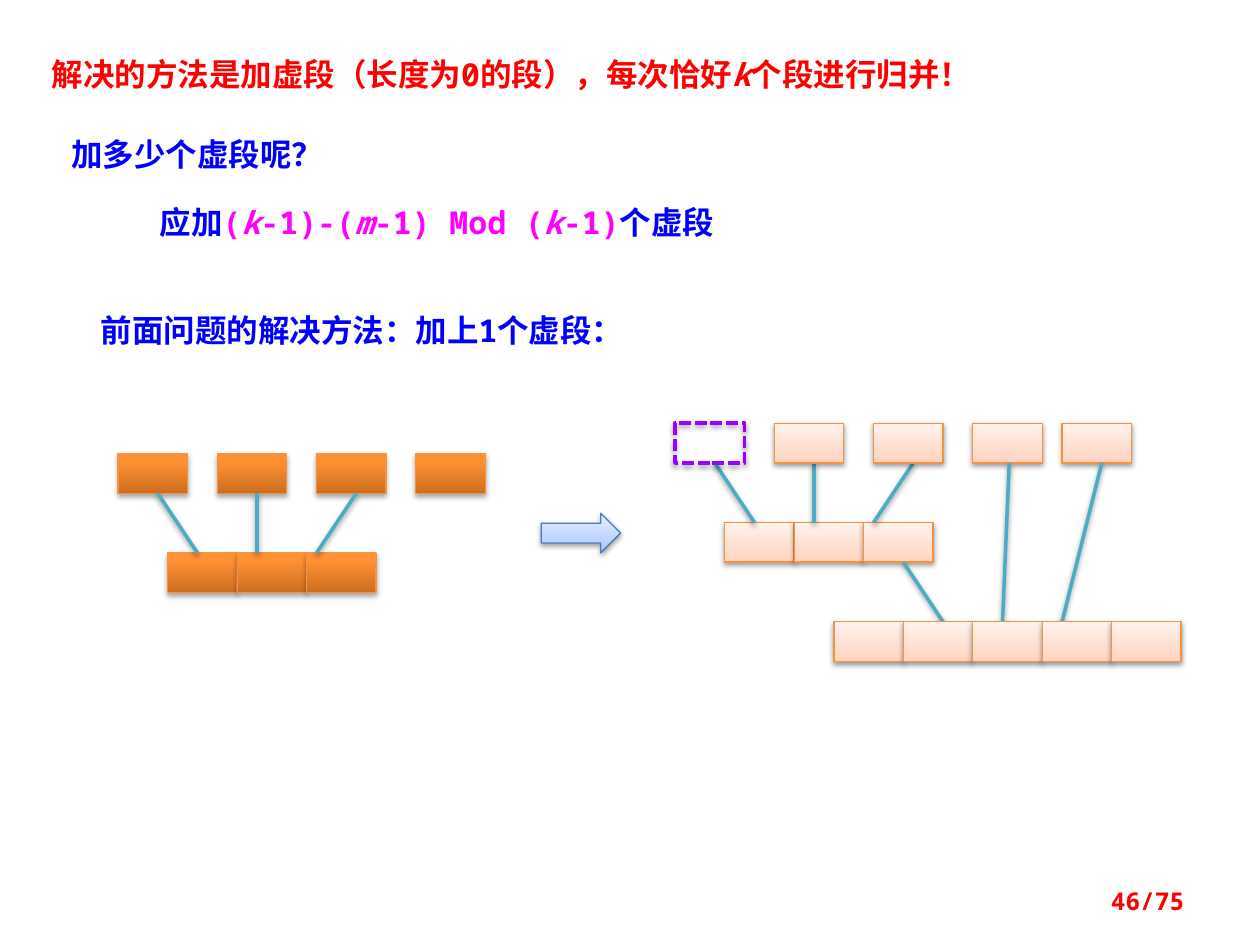
from dataclasses import dataclass

from lxml.etree import SubElement
from pptx import Presentation
from pptx.dml.color import RGBColor
from pptx.enum.dml import MSO_LINE
from pptx.enum.shapes import MSO_CONNECTOR, MSO_SHAPE
from pptx.enum.text import MSO_ANCHOR, MSO_AUTO_SIZE, PP_ALIGN
from pptx.oxml import parse_xml
from pptx.oxml.ns import nsdecls, qn
from pptx.util import Pt


@dataclass(frozen=True)
class Theme:
    font: str = "Noto Sans Mono"
    body: int = 18
    small: int = 14
    red: str = "FF0000"
    blue: str = "0000FF"
    magenta: str = "FF00FF"
    link: str = "4BACC6"
    dummy: str = "9900FF"
    cell_line: str = "F69240"
    arrow_line: str = "4B7EBC"
    # Gradient stops run from bottom to top
    dark: tuple = ((0, "CC6E20"), (80, "FF9034"), (100, "FF9136"))
    pale: tuple = ((0, "FFD2BD"), (35, "FFDED0"), (100, "FFF2ED"))
    sky: tuple = ((0, "A4C4FF"), (35, "BFD4FF"), (100, "E6EEFF"))


T = Theme()

# Diagram grid: one unit is 2 mm, a segment is 7 x 4 units
U = 5.67
CELL_W, CELL_H = 7, 4
ROW = 10


def rgb(color):
    return RGBColor.from_string(color)


def add_shadow(sp, alpha=38, dist=1.6):
    sp._element.spPr.append(parse_xml(
        f'<a:effectLst {nsdecls("a")}><a:outerShdw blurRad="{Pt(3.1)}" dist="{Pt(dist)}" '
        f'dir="5400000" rotWithShape="0"><a:srgbClr val="000000">'
        f'<a:alpha val="{alpha * 1000}"/></a:srgbClr></a:outerShdw></a:effectLst>'))


def set_gradient(sp, stops):
    gs = "".join(f'<a:gs pos="{pos * 1000}"><a:srgbClr val="{color}"/></a:gs>'
                 for pos, color in stops)
    sp.fill.background()
    no_fill = sp._element.spPr.find(qn("a:noFill"))
    no_fill.getparent().replace(no_fill, parse_xml(
        f'<a:gradFill {nsdecls("a")} rotWithShape="1"><a:gsLst>{gs}</a:gsLst>'
        f'<a:lin ang="16200000" scaled="0"/></a:gradFill>'))


def write_text(sp, box, runs, size=T.body, align=PP_ALIGN.LEFT, anchor=MSO_ANCHOR.TOP):
    """Place a text shape and fill it with (text, colour, italic) runs."""
    for name, value in zip(("left", "top", "width", "height"), box):
        setattr(sp, name, Pt(value))
    tf = sp.text_frame
    frame = {"word_wrap": True, "auto_size": MSO_AUTO_SIZE.NONE, "vertical_anchor": anchor}
    for name, value in frame.items():
        setattr(tf, name, value)
    p = tf.paragraphs[0]
    p.alignment = align
    for text, color, italic in runs:
        r = p.add_run()
        r.text = text
        font = {"name": T.font, "size": Pt(size), "bold": True, "italic": italic}
        for name, value in font.items():
            setattr(r.font, name, value)
        r.font.color.rgb = rgb(color)
        SubElement(r._r.rPr, qn("a:ea"), typeface=T.font)


def add_text(s, box, runs, **options):
    write_text(s.shapes.add_textbox(0, 0, 0, 0), box, runs, **options)


def add_block(shapes, kind, x, y, w, h, stops, line, width=0.75):
    sp = shapes.add_shape(kind, Pt(x), Pt(y), Pt(w), Pt(h))
    if stops:
        set_gradient(sp, stops)
    else:
        sp.fill.background()
    sp.line.color.rgb = rgb(line)
    sp.line.width = Pt(width)
    if stops == T.dark:
        add_shadow(sp, alpha=35, dist=1.8)
    else:
        add_shadow(sp)
    return sp


def add_segments(shapes, origin, columns, row, stops, line=T.cell_line, width=0.75):
    """Draw segments at the given grid columns of one row."""
    x, y = origin
    return [add_block(shapes, MSO_SHAPE.RECTANGLE, x + col * U, y + row * U,
                      CELL_W * U, CELL_H * U, stops, line, width) for col in columns]


def add_links(shapes, origin, links):
    """Draw lines given as (column, row, column, row) on the grid."""
    x, y = origin
    for c1, r1, c2, r2 in links:
        ln = shapes.add_connector(MSO_CONNECTOR.STRAIGHT, Pt(x + c1 * U), Pt(y + r1 * U),
                                  Pt(x + c2 * U), Pt(y + r2 * U))
        ln.line.color.rgb = rgb(T.link)
        ln.line.width = Pt(2)
        add_shadow(ln)


def add_first_merge(shapes, origin, stops):
    """Merge the first three segments into a run of three."""
    add_segments(shapes, origin, (5, 12, 19), ROW, stops)
    add_links(shapes, origin, [(a, CELL_H, b, ROW) for a, b in ((4, 8), (14, 14), (24, 20))])


def add_problem_tree(s, origin):
    shapes = s.shapes.add_group_shape().shapes
    add_segments(shapes, origin, (0, 10, 20, 30), 0, T.dark)
    add_first_merge(shapes, origin, T.dark)


def add_solution_tree(s, origin):
    shapes = s.shapes.add_group_shape().shapes
    add_first_merge(shapes, origin, T.pale)
    # Leaves: the dummy segment comes first
    dummy, = add_segments(shapes, origin, (0,), 0, None, T.dummy, 2.25)
    dummy.line.dash_style = MSO_LINE.SQUARE_DOT
    add_segments(shapes, origin, (10, 20, 30, 39), 0, T.pale)
    # Second merge into a run of five
    add_links(shapes, origin, [(23, ROW + CELL_H, 27, 2 * ROW),
                               (33.67, CELL_H, 33, 2 * ROW),
                               (43, CELL_H, 39, 2 * ROW)])
    add_segments(shapes, origin, range(16, 51, CELL_W), 2 * ROW, T.pale)


def main():
    prs = Presentation()
    prs.slide_width, prs.slide_height = Pt(720), Pt(540)
    s = prs.slides.add_slide(prs.slide_layouts[5])

    # Heading
    write_text(s.shapes.title, (22.3, 28.1, 556.6, 28.8), [
        ("解决的方法是加虚段（长度为0的段），每次恰好", T.red, False),
        ("k", T.red, True),
        ("个段进行归并！", T.red, False)])

    # Question, formula and lead-in
    add_text(s, (33.8, 73.4, 230.4, 28.8), [("加多少个虚段呢？", T.blue, False)])
    formula = [(text, T.magenta, text in "km")
               for text in ("(", "k", "-1)-(", "m", "-1) Mod (", "k", "-1)")]
    add_text(s, (84.2, 112.3, 343.4, 28.8),
             [("应加", T.blue, False), *formula, ("个虚段", T.blue, False)])
    add_text(s, (50.4, 174.2, 413.3, 28.8),
             [("前面问题的解决方法：加上1个虚段：", T.blue, False)])

    # Merge trees with the arrow between them
    add_problem_tree(s, (67.5, 259.3))
    add_block(s.shapes, MSO_SHAPE.RIGHT_ARROW, 309.3, 293.3, 8 * U, 4 * U,
              T.sky, T.arrow_line)
    add_solution_tree(s, (385.8, 241.9))

    # Page number
    add_text(s, (516.2, 500.4, 167.8, 28.8), [("46/75", T.red, False)], size=T.small,
             align=PP_ALIGN.RIGHT, anchor=MSO_ANCHOR.MIDDLE)

    prs.save("out.pptx")


if __name__ == "__main__":
    main()
